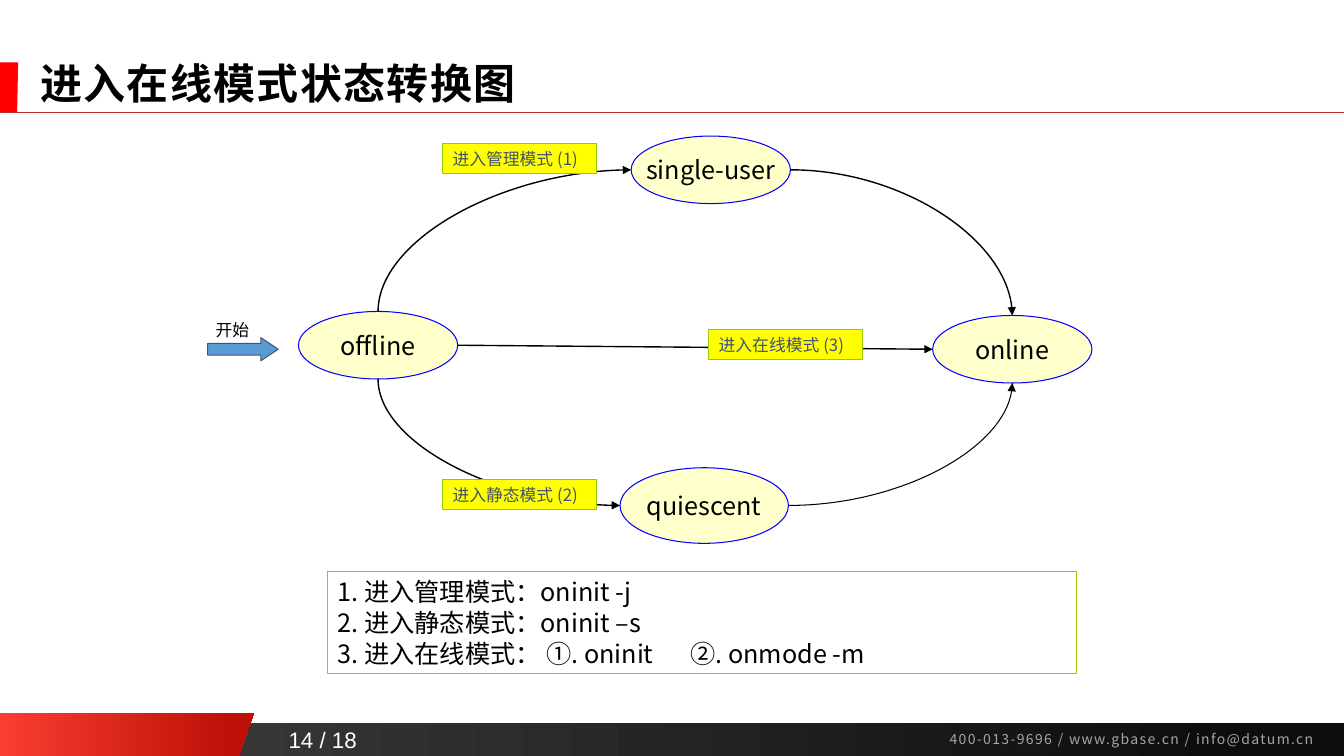
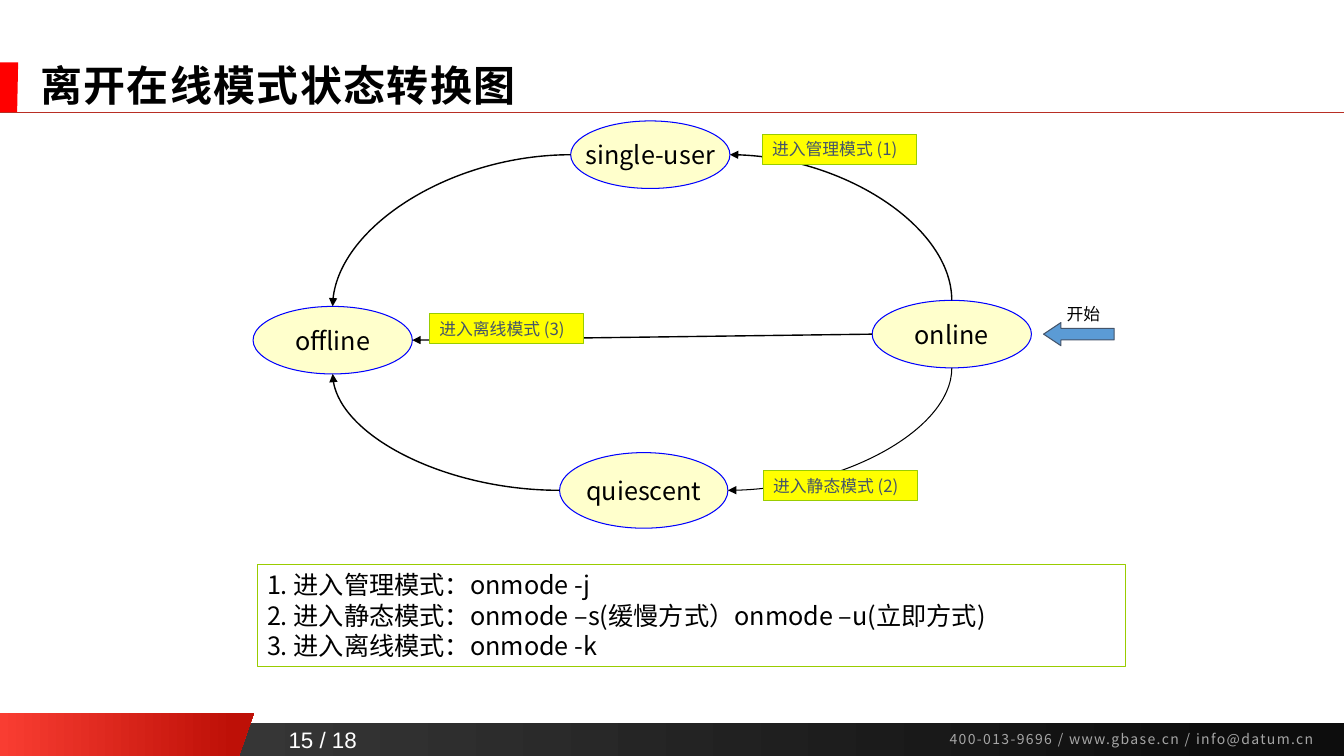
import pptx
import pptx.util
import pptx.dml.color
import pptx.enum.shapes
import pptx.enum.text
import pptx.oxml.ns
from lxml import etree

Inches = pptx.util.Inches
Pt = pptx.util.Pt
qn = pptx.oxml.ns.qn
SHAPE = pptx.enum.shapes.MSO_SHAPE
CONNECTOR = pptx.enum.shapes.MSO_CONNECTOR
ALIGN = pptx.enum.text.PP_ALIGN
ANCHOR = pptx.enum.text.MSO_ANCHOR

WIDTH, HEIGHT = 13.33, 7.5
FONT = "Noto Sans CJK SC"
COLORS = {
    "page": "FFFFFF", "text": "000000", "accent": "FF0000", "rule": "B82E24",
    "band_start": "404040", "band_end": "0D0D0D",
    "tab_start": "F93D32", "tab_end": "BE1007", "contact": "A6A6A6",
    "state": "FFFFCC", "state_line": "0000FF",
    "label": "FFFF00", "label_line": "99CC00", "label_text": "44546A",
    "arrow": "5B9BD5",
}
CONTACT = "400-013-9696 / www.gbase.cn / info@datum.cn"

# Offsets and sizes of the states, measured from the single-user state.
STATES = {
    "online": (2.99, 1.78, 1.58, 0.67),
    "single-user": (0, 0, 1.58, 0.67),
    "quiescent": (-0.11, 3.29, 1.67, 0.75),
}
MIDDLE_STATES = ("single-user", "quiescent")

SLIDES = [
    {
        "number": "14 / 18",
        "title": "进入在线模式状态转换图",
        "title_top": 0.59,
        "origin": (6.26, 1.35),
        "offline": (-3.3, 1.74, 1.58, 0.67),
        "flow": ("offline", "online"),
        "labels": [("进入管理模式 (1)", -1.87, 0.07),
                   ("进入在线模式 (3)", 0.77, 1.92),
                   ("进入静态模式 (2)", -1.87, 3.41)],
        "start": (-4.2, 2.0), "start_text": (-4.22, 1.77), "start_turn": 0,
        "notes_box": (3.25, 5.67, 7.43, 1.01),
        "notes": ["1. 进入管理模式：oninit -j",
                  "2. 进入静态模式：oninit –s",
                  "3. 进入在线模式： ①. oninit\t②. onmode -m"],
    },
    {
        "number": "15 / 18",
        "title": "离开在线模式状态转换图",
        "title_top": 0.61,
        "origin": (5.66, 1.2),
        "offline": (-3.15, 1.84, 1.58, 0.67),
        "flow": ("online", "offline"),
        "labels": [("进入管理模式 (1)", 1.9, 0.13),
                   ("进入离线模式 (3)", -1.4, 1.91),
                   ("进入静态模式 (2)", 1.91, 3.47)],
        "start": (4.69, 2.0), "start_text": (4.82, 1.76), "start_turn": 180,
        "notes_box": (2.55, 5.6, 8.61, 1.01),
        "notes": ["1. 进入管理模式：onmode -j",
                  "2. 进入静态模式：onmode –s(缓慢方式）onmode –u(立即方式)",
                  "3. 进入离线模式：onmode -k"],
    },
]


def rgb(name):
    return pptx.dml.color.RGBColor.from_string(COLORS[name])


def paint(shape, fill=None, line=None):
    """Set a solid, a two-colour or no fill, and a thin or no outline."""
    shape.shadow.inherit = False
    if fill is None:
        shape.fill.background()
    elif isinstance(fill, tuple):
        shape.fill.gradient()
        shape.fill.gradient_angle = 0
        for stop, color, position in zip(shape.fill.gradient_stops, fill, (0, 0.92)):
            stop.color.rgb = rgb(color)
            stop.position = position
    else:
        shape.fill.solid()
        shape.fill.fore_color.rgb = rgb(fill)
    if line is None:
        shape.line.fill.background()
    else:
        shape.line.color.rgb = rgb(line)
        shape.line.width = Pt(0.75)


def write(shape, text, size, color="text", font=FONT, bold=False, align=ALIGN.LEFT,
          anchor=ANCHOR.TOP, wrap=True, leading=None, tracking=None):
    frame = shape.text_frame
    frame.text = text
    frame.word_wrap = wrap
    frame.vertical_anchor = anchor
    for paragraph in frame.paragraphs:
        paragraph.alignment = align
        if leading is not None:
            paragraph.line_spacing = leading
        for span in paragraph.runs:
            span.font.size = Pt(size)
            span.font.bold = bold
            span.font.name = font
            span.font.color.rgb = rgb(color)
            properties = span.font._element
            etree.SubElement(properties, qn("a:ea"), typeface=font)
            if tracking:
                properties.set("spc", str(tracking * 100))


def add_box(page, box, kind=SHAPE.RECTANGLE, fill=None, line=None):
    shape = page.shapes.add_shape(kind, *map(Inches, box))
    paint(shape, fill, line)
    return shape


def add_text(page, box, text, size, **style):
    shape = page.shapes.add_textbox(*map(Inches, box))
    write(shape, text, size, **style)


def add_slanted_tab(page, box, slant, fill):
    """Draw a box whose right side leans in by slant at the bottom."""
    left, top, width, height = box
    right, bottom = left + width, top + height
    builder = page.shapes.build_freeform(Inches(left), Inches(top), scale=1.0)
    corners = [(right, top), (right - slant, bottom), (left, bottom)]
    builder.add_line_segments([(Inches(x), Inches(y)) for x, y in corners], close=True)
    paint(builder.convert_to_shape(), fill)


def add_line(page, kind, begin, end, color="text", weight=1, arrow=None):
    """Draw a connector; arrow is headEnd, tailEnd or None."""
    line = page.shapes.add_connector(kind, *map(Inches, (*begin, *end)))
    line.line.color.rgb = rgb(color)
    line.line.width = Pt(weight)
    if arrow:
        etree.SubElement(line.line._get_or_add_ln(), qn("a:" + arrow), type="triangle")
    properties = line.element.spPr
    etree.SubElement(properties, qn("a:effectLst"))
    if kind == CONNECTOR.CURVE:
        properties.find(qn("a:prstGeom")).set("prst", "curvedConnector2")


def add_frame(page, title, title_top, number):
    """Draw the title, bands and footer that all slides share."""
    page.background.fill.solid()
    page.background.fill.fore_color.rgb = rgb("page")
    add_box(page, (0, HEIGHT - 0.33, WIDTH, 0.33), fill=("band_start", "band_end"))
    add_slanted_tab(page, (0, HEIGHT - 0.43, 2.52, 0.43), 0.15, ("tab_start", "tab_end"))
    add_slanted_tab(page, (0, 0.62, 0.18, 0.5), 0.01, "accent")
    add_text(page, (9.32, 7.2, 3.99, 0.27), CONTACT, 10, color="contact",
             anchor=ANCHOR.MIDDLE, tracking=1)
    add_line(page, CONNECTOR.STRAIGHT, (0, 1.11), (WIDTH, 1.11), "rule", 0.5)
    add_text(page, (2.69, 7.15, 1.02, 0.37), number, 16, color="page", font="Arial",
             align=ALIGN.CENTER, anchor=ANCHOR.BOTTOM, wrap=False)
    add_text(page, (0.3, title_top, 12.26, 0.53), title, 30, bold=True,
             anchor=ANCHOR.MIDDLE, leading=0.9, tracking=1)


def facing_sides(box, other):
    """Return the middles of the box's side and of its top or bottom facing other."""
    left, top, width, height = box
    center = (left + width / 2, top + height / 2)
    side = (left + width if other[0] > left else left, center[1])
    edge = (center[0], top + height if other[1] > top else top)
    return side, edge


def link_states(page, boxes, source, target):
    first, last = boxes[source], boxes[target]
    if source not in MIDDLE_STATES and target not in MIDDLE_STATES:
        add_line(page, CONNECTOR.STRAIGHT, facing_sides(first, last)[0],
                 facing_sides(last, first)[0], arrow="tailEnd")
        return
    arrow = "tailEnd"
    if target in MIDDLE_STATES:
        first, last, arrow = last, first, "headEnd"
    weight = 0.75 if {source, target} == {"quiescent", "online"} else 1
    add_line(page, CONNECTOR.CURVE, facing_sides(first, last)[0],
             facing_sides(last, first)[1], weight=weight, arrow=arrow)


def add_diagram(page, content):
    origin_x, origin_y = content["origin"]

    def place(x, y, width, height):
        return origin_x + x, origin_y + y, width, height

    states = {"offline": content["offline"], **STATES}
    boxes = {name: place(*offset) for name, offset in states.items()}
    for name, box in boxes.items():
        oval = add_box(page, box, SHAPE.OVAL, "state", "state_line")
        write(oval, name, 18, align=ALIGN.CENTER, anchor=ANCHOR.MIDDLE, wrap=False)

    start, goal = content["flow"]
    link_states(page, boxes, start, goal)
    for middle in MIDDLE_STATES:
        link_states(page, boxes, start, middle)
        link_states(page, boxes, middle, goal)

    for text, x, y in content["labels"]:
        label = add_box(page, place(x, y, 1.53, 0.3), fill="label", line="label_line")
        write(label, text, 12, color="label_text", leading=Pt(14.5))

    add_text(page, place(*content["start_text"], 0.82, 0.3), "开始", 12, leading=Pt(14.5))
    arrow = add_box(page, place(*content["start"], 0.7, 0.23), SHAPE.RIGHT_ARROW,
                    "arrow", "label_text")
    arrow.adjustments[1] = 0.75
    arrow.rotation = content["start_turn"]


def add_notes_box(page, box, lines):
    notes = add_box(page, box, line="label_line")
    write(notes, "\n".join(lines), 18, leading=Pt(21.8))


def main():
    deck = pptx.Presentation()
    deck.slide_width, deck.slide_height = Inches(WIDTH), Inches(HEIGHT)
    for content in SLIDES:
        page = deck.slides.add_slide(deck.slide_layouts[6])
        add_frame(page, content["title"], content["title_top"], content["number"])
        add_diagram(page, content)
        add_notes_box(page, content["notes_box"], content["notes"])
    deck.save("out.pptx")


if __name__ == "__main__":
    main()
